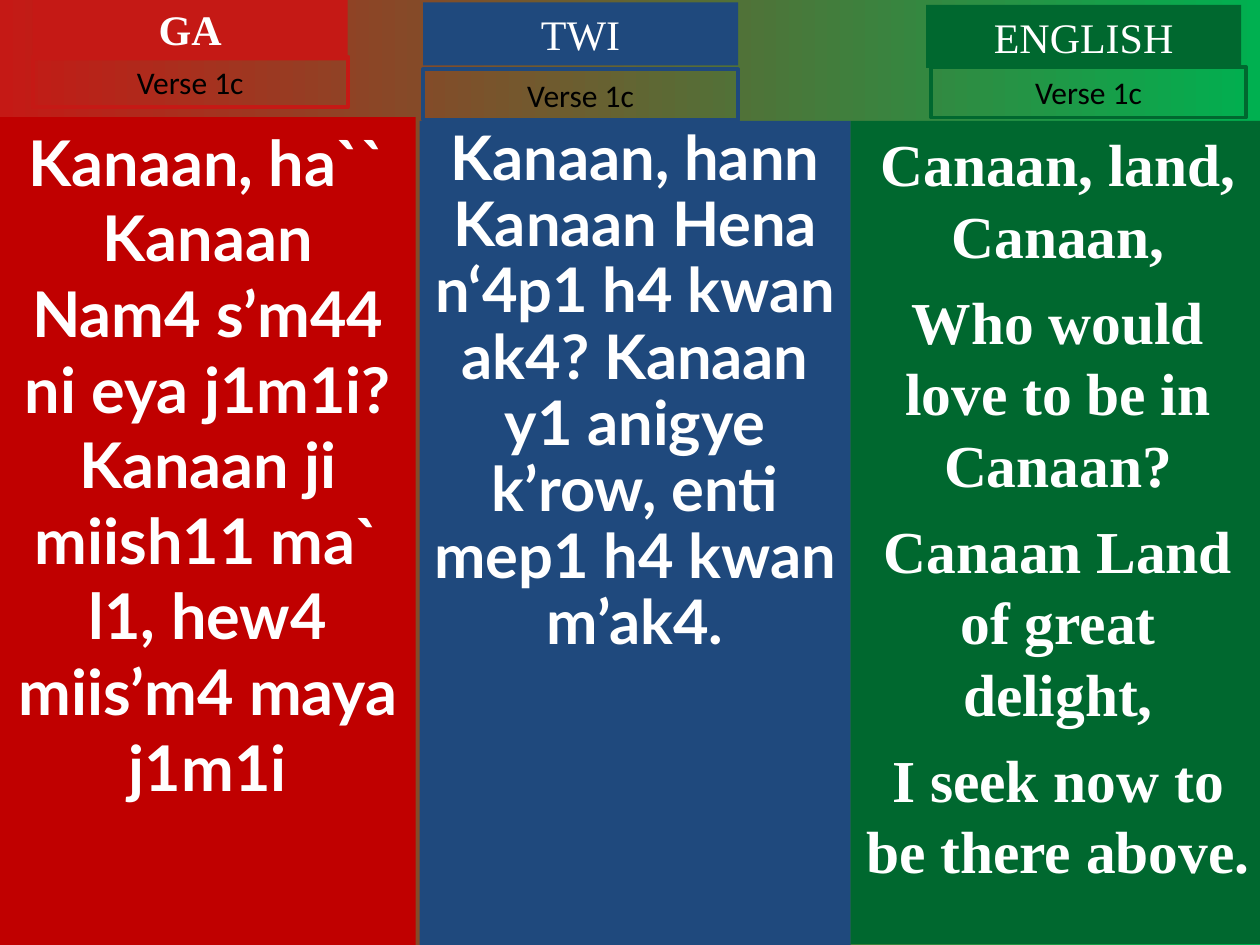
from dataclasses import dataclass

from pptx import Presentation
from pptx.dml.color import RGBColor
from pptx.enum.shapes import MSO_SHAPE
from pptx.enum.text import MSO_ANCHOR, PP_ALIGN
from pptx.util import Cm, Pt


@dataclass(frozen=True)
class Theme:
    start: str = "C51915"
    end: str = "00B050"
    red: str = "C00000"
    blue: str = "1F497D"
    green: str = "00682F"
    light: str = "FFFFFF"
    dark: str = "000000"
    serif: str = "Times New Roman"
    sans: str = "Lato"
    label: str = "Calibri"
    head: float = 24
    tag: float = 18
    edge: float = 2.25


THEME = Theme()
WIDE = 6.35  # width of headings and verse tags, in cm

# Boxes are left, top, width, height in cm; head and tag are offsets from them
COLUMNS = [
    dict(box=(0, 2.36, 8.38, 16.69), fill=THEME.red, edge=THEME.start,
         name="GA", bold=True, head=(0.66, -2.41), tag=(0.66, -1.22),
         font=THEME.sans, size=36, gap=0, pitch=1.0,
         lines=["Kanaan, ha`` Kanaan Nam4 s’m44 ni eya j1m1i? Kanaan ji "
                "miish11 ma` l1, hew4 miis’m4 maya j1m1i"]),
    dict(box=(8.46, 2.44, 8.69, 16.61), fill=THEME.blue, edge=THEME.blue,
         name="TWI", bold=False, head=(0.07, -2.39), tag=(0.07, -1.04),
         font=THEME.sans, size=35.1, gap=0, pitch=0.9,
         lines=["Kanaan, hann Kanaan Hena n‘4p1 h4 kwan ak4? Kanaan y1 "
                "anigye k’row, enti mep1 h4 kwan m’ak4."]),
    dict(box=(17.15, 2.44, 8.36, 16.59), fill=THEME.green, edge=THEME.green,
         name="ENGLISH", bold=False, head=(1.52, -2.34), tag=(1.62, -1.09),
         font=THEME.serif, size=34, gap=8.5, pitch=1.0,
         lines=["Canaan, land, Canaan,", "Who would love to be in Canaan?",
                "Canaan Land of great delight,",
                "I seek now to be there above."]),
]


def panel(slide, box, fill=None, edge=None):
    """Add a plain rectangle with an optional fill and outline."""
    shape = slide.shapes.add_shape(MSO_SHAPE.RECTANGLE, *map(Cm, box))
    shape.shadow.inherit = False
    if fill:
        shape.fill.solid()
        shape.fill.fore_color.rgb = RGBColor.from_string(fill)
    else:
        shape.fill.background()
    if edge:
        shape.line.color.rgb = RGBColor.from_string(edge)
        shape.line.width = Pt(THEME.edge)
    else:
        shape.line.fill.background()
    return shape


def write(shape, lines, font, size, color, bold=False, gap=0, pitch=1.0):
    """Set centred text from the top of a shape, one paragraph per line."""
    frame = shape.text_frame
    frame.word_wrap = True
    frame.vertical_anchor = MSO_ANCHOR.TOP
    frame.text = "\n".join(lines)
    for i, para in enumerate(frame.paragraphs):
        para.alignment = PP_ALIGN.CENTER
        para.line_spacing = pitch
        para.space_before = Pt(gap if i else 0)
        for run in para.runs:
            run.font.name = font
            run.font.size = Pt(size)
            run.font.bold = bold
            run.font.color.rgb = RGBColor.from_string(color)


def column(slide, box, col):
    """Place one language: lyrics, heading and verse tag."""
    left, top = box[:2]

    # Lyrics
    body = panel(slide, box, fill=col["fill"])
    write(body, col["lines"], col["font"], col["size"], THEME.light,
          True, col["gap"], col["pitch"])

    # Language heading
    dx, dy = col["head"]
    head = panel(slide, (left + dx, top + dy, WIDE, 1.27), fill=col["edge"])
    write(head, [col["name"]], THEME.serif, THEME.head, THEME.light,
          col["bold"])

    # Verse tag
    dx, dy = col["tag"]
    tag = panel(slide, (left + dx, top + dy, WIDE, 1.02), edge=col["edge"])
    write(tag, ["Verse 1c"], THEME.label, THEME.tag, THEME.dark)


def backdrop(slide):
    """Blend the background from left to right."""
    fill = slide.background.fill
    fill.gradient()
    fill.gradient_angle = 0
    for stop, color in zip(fill.gradient_stops, (THEME.start, THEME.end)):
        stop.color.rgb = RGBColor.from_string(color)


def main():
    deck = Presentation()
    deck.slide_width, deck.slide_height = Cm(25.4), Cm(19.05)
    slide = deck.slides.add_slide(deck.slide_layouts[6])
    backdrop(slide)
    for col in COLUMNS:
        column(slide, col["box"], col)
    deck.save("out.pptx")


if __name__ == "__main__":
    main()
